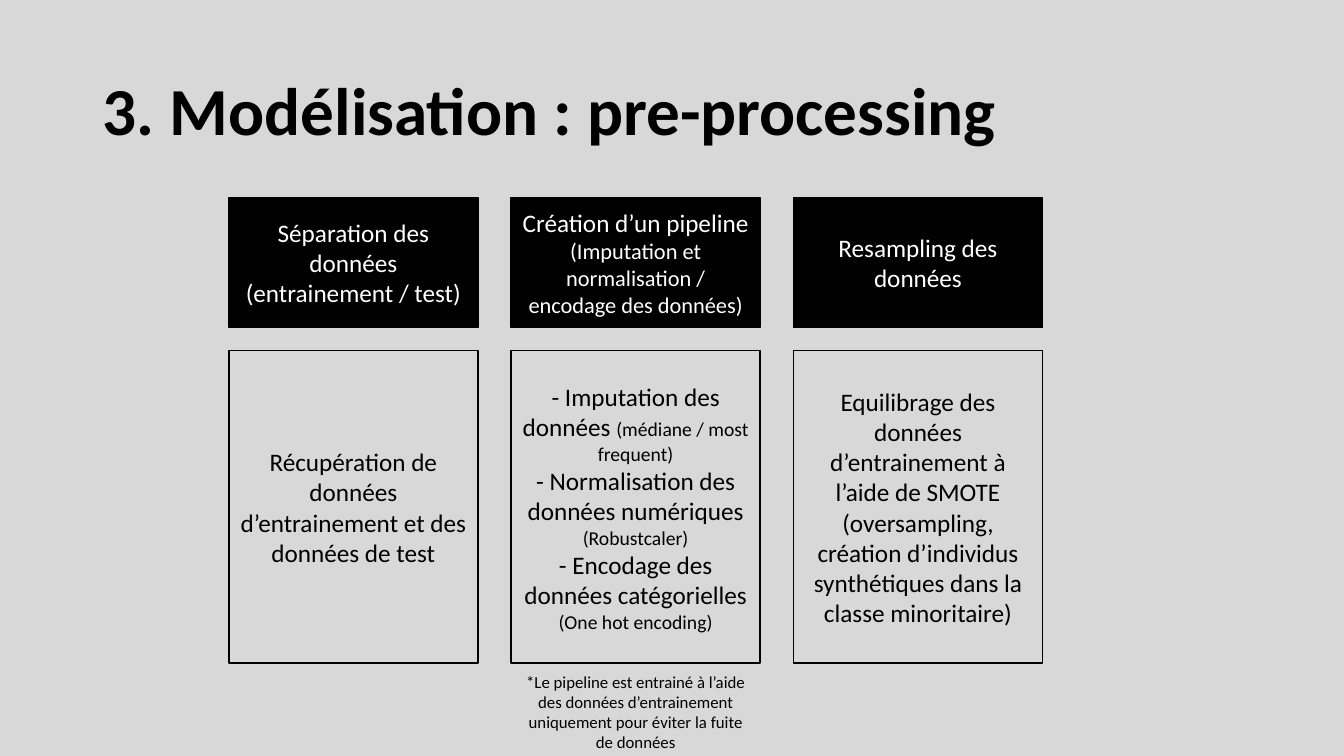
from pptx import Presentation
from pptx.dml.color import RGBColor
from pptx.enum import shapes, text
from pptx.util import Inches, Pt

TITLE = "3. Modélisation : pre-processing"
# Each paragraph is a list of (words, size) runs.
STEPS = [
    ([[("Séparation des données (entrainement / test)", 18)]],
     [[("Récupération de données d’entrainement et des données de test", 18)]]),
    ([[("Création d’un pipeline ", 18),
       ("(Imputation et normalisation / encodage des données)", 16)]],
     [[("- Imputation des données ", 18), ("(médiane / most frequent)", 14)],
      [("- Normalisation des données numériques ", 18), ("(Robustcaler)", 14)],
      [("- Encodage des données catégorielles ", 18), ("(One hot encoding)", 14)]]),
    ([[("Resampling des données", 18)]],
     [[("Equilibrage des données d’entrainement à l’aide de SMOTE "
        "(oversampling, création d’individus synthétiques dans la "
        "classe minoritaire)", 18)]]),
]
NOTE = [[("*Le pipeline est entrainé à l’aide des données d’entrainement "
          "uniquement pour éviter la fuite de données", 12)]]

COLORS = {"back": "D7D8D7", "dark": "000000", "light": "FFFFFF"}
FONT = "Calibri"
LEFT, STEP, WIDTH = 2.27, 2.8, 2.47
HEAD_TOP, HEAD_H = 1.96, 1.29
BODY_TOP, BODY_H = 3.48, 3.1
NOTE_TOP, NOTE_H = 6.73, 0.66


def color(name):
    return RGBColor.from_string(COLORS[name])


def style(run, size, ink, bold=False):
    run.font.name = FONT
    run.font.size = Pt(size)
    run.font.bold = bold
    run.font.color.rgb = color(ink)


def write(shape, paras, ink):
    frame = shape.text_frame
    frame.word_wrap = True
    frame.vertical_anchor = text.MSO_ANCHOR.MIDDLE
    for i, runs in enumerate(paras):
        para = frame.add_paragraph() if i else frame.paragraphs[0]
        para.alignment = text.PP_ALIGN.CENTER
        for words, size in runs:
            run = para.add_run()
            run.text = words
            style(run, size, ink)


def add_box(slide, place, paras, ink, fill=None):
    box = slide.shapes.add_shape(shapes.MSO_SHAPE.RECTANGLE, *map(Inches, place))
    box.shadow.inherit = False
    if fill:
        box.fill.solid()
        box.fill.fore_color.rgb = color(fill)
    else:
        box.fill.background()
    box.line.color.rgb = color("dark")
    box.line.width = Pt(1)
    write(box, paras, ink)


def main():
    deck = Presentation()
    deck.slide_width, deck.slide_height = Inches(13.33), Inches(7.5)
    slide = deck.slides.add_slide(deck.slide_layouts[5])
    slide.background.fill.solid()
    slide.background.fill.fore_color.rgb = color("back")

    title = slide.shapes.title
    title.left, title.top = Inches(0.92), Inches(0.4)
    title.width, title.height = Inches(11.5), Inches(1.45)
    title.text_frame.text = TITLE
    title.text_frame.vertical_anchor = text.MSO_ANCHOR.MIDDLE
    para = title.text_frame.paragraphs[0]
    para.alignment = text.PP_ALIGN.LEFT
    para.line_spacing = 0.9
    style(para.runs[0], 48, "dark", bold=True)

    for i, (head, body) in enumerate(STEPS):
        x = LEFT + i * STEP
        add_box(slide, (x, HEAD_TOP, WIDTH, HEAD_H), head, "light", "dark")
        add_box(slide, (x, BODY_TOP, WIDTH, BODY_H), body, "dark")

    place = (LEFT + STEP, NOTE_TOP, WIDTH, NOTE_H)
    note = slide.shapes.add_textbox(*map(Inches, place))
    write(note, NOTE, "dark")
    deck.save("out.pptx")


if __name__ == "__main__":
    main()
